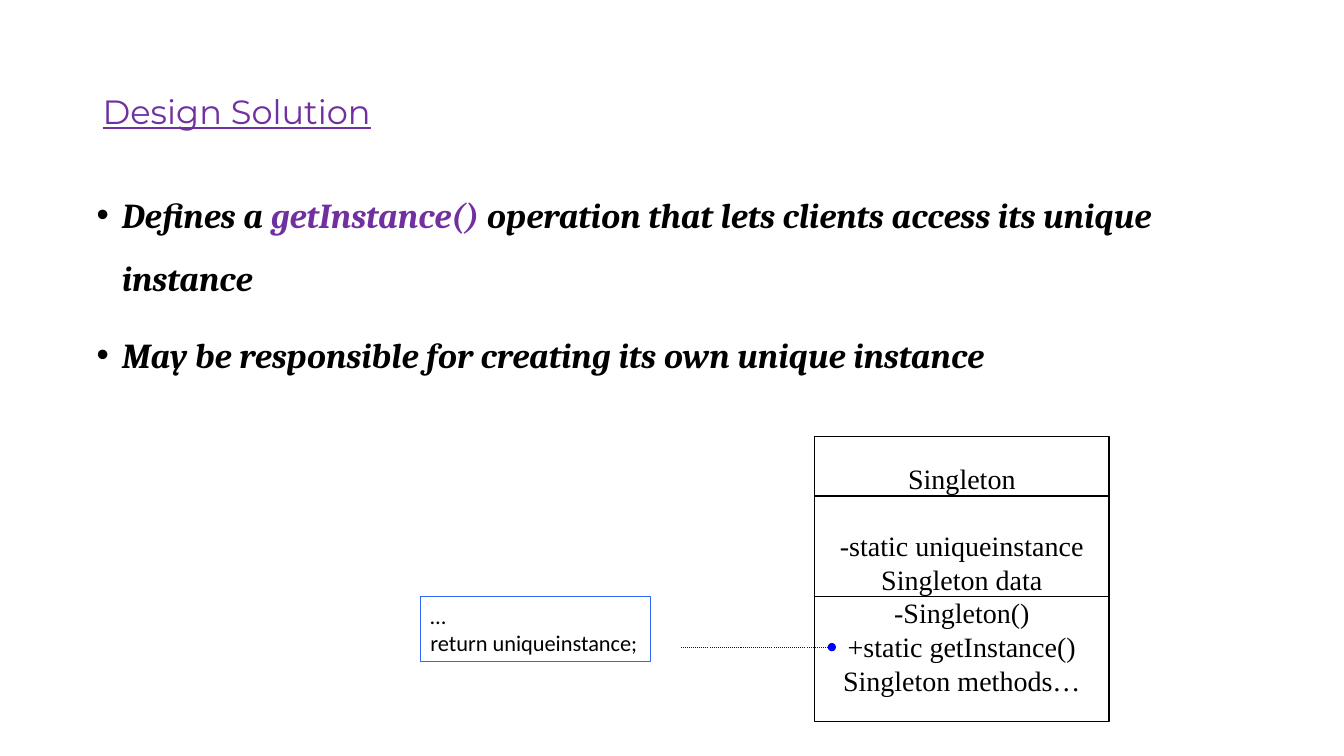
from dataclasses import dataclass

from lxml import etree
from pptx import Presentation
from pptx.dml.color import RGBColor
from pptx.enum.dml import MSO_LINE
from pptx.enum.shapes import MSO_CONNECTOR, MSO_SHAPE
from pptx.enum.text import MSO_ANCHOR, PP_ALIGN
from pptx.oxml.ns import qn
from pptx.util import Inches, Pt

BLACK, PURPLE, NOTE_BLUE, LINK_BLUE = "000000", "7030A0", "3366FF", "0000FF"


@dataclass
class Box:
    left: float
    top: float
    width: float
    height: float

    def emu(self) -> list:
        return [Inches(v) for v in (self.left, self.top, self.width, self.height)]


@dataclass
class TextStyle:
    font: str
    size: float
    color: str = BLACK
    bold: bool = False
    italic: bool = False
    underline: bool = False


@dataclass
class FramedText:
    box: Box
    lines: list
    style: TextStyle
    border: str
    border_width: float
    align: PP_ALIGN
    gap_after_first: float = 0


@dataclass
class Rule:
    start: tuple
    end: tuple
    color: str = BLACK
    width: float = 1
    dotted_from_dot: bool = False


def rgb(color: str) -> RGBColor:
    return RGBColor.from_string(color)


def style_run(run, style: TextStyle, color: str = "") -> None:
    font = run.font
    font.name, font.size = style.font, Pt(style.size)
    font.bold, font.italic, font.underline = style.bold, style.italic, style.underline
    font.color.rgb = rgb(color or style.color)


def add_text_area(slide, box: Box, anchor: MSO_ANCHOR):
    frame = slide.shapes.add_textbox(*box.emu()).text_frame
    frame.word_wrap = True
    frame.vertical_anchor = anchor
    return frame


def add_bullet(paragraph) -> None:
    props = paragraph._p.get_or_add_pPr()
    props.set("marL", str(Inches(0.25)))
    props.set("indent", str(-Inches(0.25)))
    etree.SubElement(props, qn("a:buFont"), typeface="Arial")
    etree.SubElement(props, qn("a:buChar"), char="•")


def add_framed_text(slide, framed: FramedText) -> None:
    shape = slide.shapes.add_shape(MSO_SHAPE.RECTANGLE, *framed.box.emu())
    shape.shadow.inherit = False
    shape.fill.background()
    shape.line.color.rgb = rgb(framed.border)
    shape.line.width = Pt(framed.border_width)
    frame = shape.text_frame
    frame.word_wrap = False
    frame.vertical_anchor = MSO_ANCHOR.MIDDLE
    frame.text = "\n".join(framed.lines)
    for paragraph in frame.paragraphs:
        paragraph.alignment = framed.align
        style_run(paragraph.runs[0], framed.style)
    frame.paragraphs[1].space_before = Pt(framed.gap_after_first)


def add_rule(slide, rule: Rule) -> None:
    ends = [Inches(v) for v in (*rule.start, *rule.end)]
    connector = slide.shapes.add_connector(MSO_CONNECTOR.STRAIGHT, *ends)
    connector.line.color.rgb = rgb(rule.color)
    connector.line.width = Pt(rule.width)
    if rule.dotted_from_dot:
        connector.line.dash_style = MSO_LINE.ROUND_DOT
        etree.SubElement(connector.line._get_or_add_ln(), qn("a:headEnd"), type="oval")
    etree.SubElement(connector._element.spPr, qn("a:effectLst"))


TITLE_STYLE = TextStyle("Montserrat", 24, PURPLE, underline=True)
BULLET_STYLE = TextStyle("Cambria", 25, bold=True, italic=True)
BULLETS = [
    [("Defines a ", BLACK), ("getInstance() ", PURPLE),
     ("operation that lets clients access its unique instance", BLACK)],
    [("May be responsible for creating its own unique instance", BLACK)],
]

CLASS_BOX = Box(8.08, 4.33, 2.92, 2.83)
CLASS_RIGHT = CLASS_BOX.left + CLASS_BOX.width
SINGLETON_CLASS = FramedText(
    CLASS_BOX,
    ["Singleton", "-static uniqueinstance", "Singleton data", "-Singleton()",
     "+static getInstance()", "Singleton methods…"],
    TextStyle("Times New Roman", 20), BLACK, 1, PP_ALIGN.CENTER, gap_after_first=24)
CODE_NOTE = FramedText(
    Box(4.17, 5.92, 2.28, 0.64), ["…", "return uniqueinstance;"],
    TextStyle("Calibri", 16), NOTE_BLUE, 0.75, PP_ALIGN.LEFT)
RULES = [Rule((CLASS_BOX.left, y), (CLASS_RIGHT, y)) for y in (4.92, 5.92)]
RULES.append(Rule((8.25, 6.42), (6.75, 6.42), LINK_BLUE, 0.75, dotted_from_dot=True))


def main() -> None:
    deck = Presentation()
    deck.slide_width, deck.slide_height = Inches(13.33), Inches(7.5)
    slide = deck.slides.add_slide(deck.slide_layouts[6])

    title = add_text_area(slide, Box(0.92, 0.4, 11.5, 1.45), MSO_ANCHOR.MIDDLE)
    title.text = "Design Solution"
    title.paragraphs[0].line_spacing = 0.9
    style_run(title.paragraphs[0].runs[0], TITLE_STYLE)

    body = add_text_area(slide, Box(0.86, 1.66, 11.5, 2.59), MSO_ANCHOR.TOP)
    for index, pieces in enumerate(BULLETS):
        paragraph = body.add_paragraph() if index else body.paragraphs[0]
        paragraph.line_spacing = 1.5
        paragraph.space_before = Pt(10)
        add_bullet(paragraph)
        for words, color in pieces:
            run = paragraph.add_run()
            run.text = words
            style_run(run, BULLET_STYLE, color)

    for framed in (SINGLETON_CLASS, CODE_NOTE):
        add_framed_text(slide, framed)
    for rule in RULES:
        add_rule(slide, rule)
    deck.save("out.pptx")


if __name__ == "__main__":
    main()
